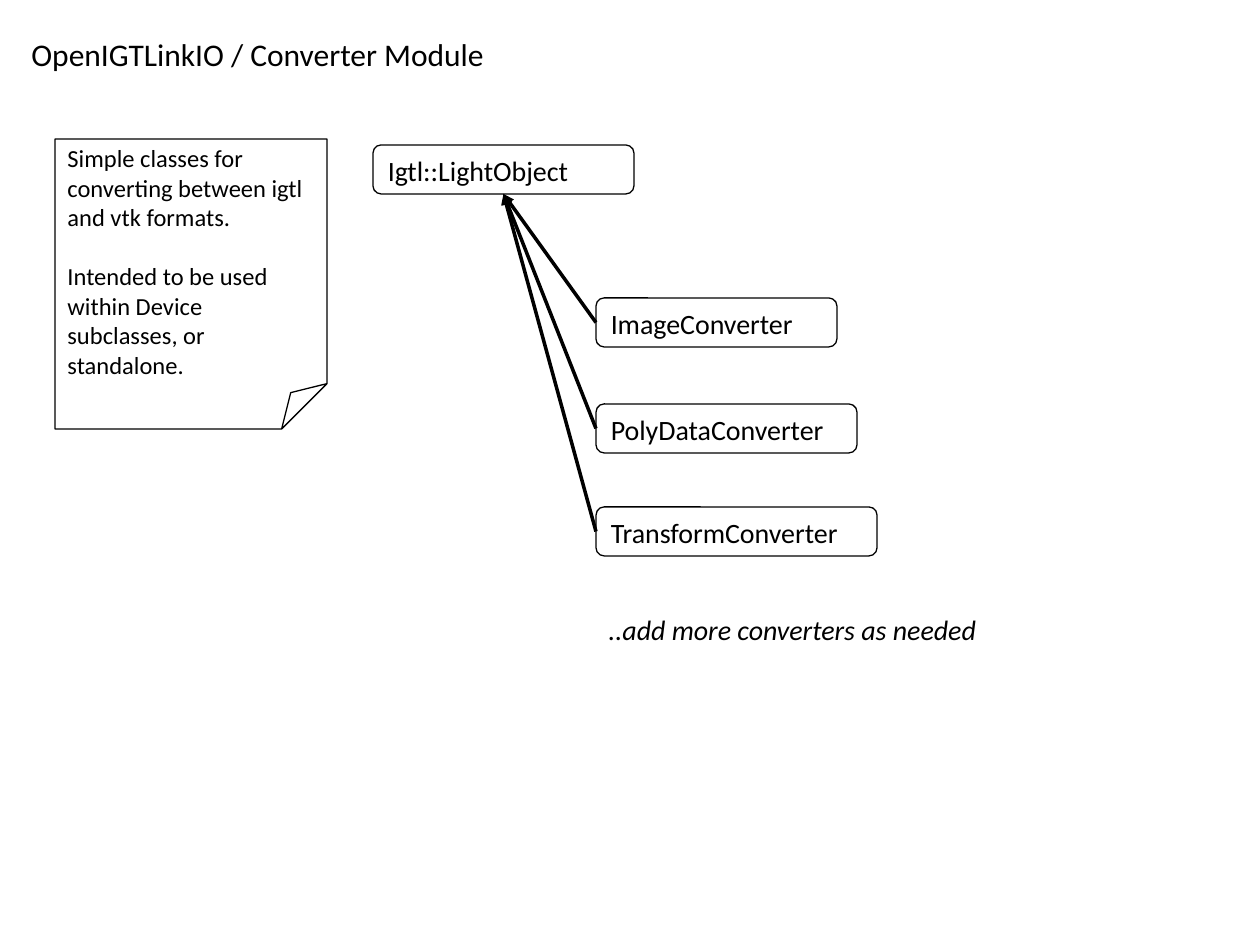
from dataclasses import dataclass

from pptx import Presentation
from pptx.dml.color import RGBColor
from pptx.enum.shapes import MSO_CONNECTOR, MSO_SHAPE
from pptx.enum.text import MSO_ANCHOR, MSO_AUTO_SIZE, PP_ALIGN
from pptx.oxml.ns import qn
from pptx.shapes.autoshape import Shape
from pptx.slide import Slide
from pptx.util import Emu, Pt
from lxml.etree import SubElement

PIXELS_PER_INCH = 126
COLORS = {"ink": "000000"}
FONT = "Calibri"
CLASS_HEIGHT = 49
CONVERTER_LEFT = 596
TOP_SITE, LEFT_SITE, BOTTOM_SITE = 0, 1, 2


@dataclass(frozen=True)
class ClassBox:
    label: str
    left: int
    top: int
    width: int


BASE_CLASS = ClassBox("Igtl::LightObject", 373, 145, 261)
CONVERTERS = [
    ClassBox("ImageConverter", CONVERTER_LEFT, 298, 241),
    ClassBox("PolyDataConverter", CONVERTER_LEFT, 404, 261),
    ClassBox("TransformConverter", CONVERTER_LEFT, 507, 281),
]
NOTE = [
    "Simple classes for converting between igtl and vtk formats.",
    "Intended to be used within Device subclasses, or standalone.",
]


def px(length: int) -> Emu:
    return Emu(round(length * 914400 / PIXELS_PER_INCH))


def color(key: str) -> RGBColor:
    return RGBColor.from_string(COLORS[key])


def write(shape: Shape, *paragraphs: str, size: int = 16, italic: bool = False,
          wrap: bool = True, anchor: MSO_ANCHOR = MSO_ANCHOR.TOP, gap: float = 0) -> None:
    frame = shape.text_frame
    frame.word_wrap = wrap
    frame.vertical_anchor = anchor
    frame.auto_size = MSO_AUTO_SIZE.NONE if wrap else MSO_AUTO_SIZE.SHAPE_TO_FIT_TEXT
    frame.text = "\n".join(paragraphs)
    for index, paragraph in enumerate(frame.paragraphs):
        paragraph.alignment = PP_ALIGN.LEFT
        paragraph.space_before = Pt(gap if index else 0)
        font = paragraph.runs[0].font
        font.name, font.size, font.italic = FONT, Pt(size), italic
        font.color.rgb = color("ink")


def outlined(slide: Slide, preset: MSO_SHAPE, left: int, top: int,
             width: int, height: int) -> Shape:
    shape = slide.shapes.add_shape(preset, px(left), px(top), px(width), px(height))
    shape.shadow.inherit = False
    shape.fill.background()
    shape.line.color.rgb = color("ink")
    shape.line.width = Pt(0.75)
    return shape


def draw_class(slide: Slide, box: ClassBox) -> Shape:
    shape = outlined(slide, MSO_SHAPE.ROUNDED_RECTANGLE,
                     box.left, box.top, box.width, CLASS_HEIGHT)
    write(shape, box.label)
    return shape


def draw_inheritance(slide: Slide, child: Shape, parent: Shape) -> None:
    arrow = slide.shapes.add_connector(MSO_CONNECTOR.STRAIGHT, 0, 0, 0, 0)
    arrow.begin_connect(child, LEFT_SITE)
    arrow.end_connect(parent, BOTTOM_SITE)
    arrow.line.color.rgb = color("ink")
    arrow.line.width = Pt(2)
    SubElement(arrow.line._get_or_add_ln(), qn("a:tailEnd"), type="triangle")
    SubElement(arrow._element.spPr, qn("a:effectLst"))


def draw_caption(slide: Slide, text: str, left: int, top: int, width: int,
                 height: int, size: int, italic: bool = False) -> None:
    caption = slide.shapes.add_textbox(px(left), px(top), px(width), px(height))
    write(caption, text, size=size, italic=italic, wrap=False)


deck = Presentation()
deck.slide_width, deck.slide_height = px(1260), px(945)
slide = deck.slides.add_slide(deck.slide_layouts[6])

light_object = draw_class(slide, BASE_CLASS)
for converter in CONVERTERS:
    draw_inheritance(slide, draw_class(slide, converter), light_object)

draw_caption(slide, "OpenIGTLinkIO / Converter Module", 19, 29, 484, 50, size=18)
note = outlined(slide, MSO_SHAPE.FOLDED_CORNER, 55, 139, 272, 290)
write(note, *NOTE, size=14, anchor=MSO_ANCHOR.MIDDLE, gap=17)
draw_caption(slide, "..add more converters as needed", CONVERTER_LEFT, 606, 406, 47,
             size=16, italic=True)

deck.save("out.pptx")
